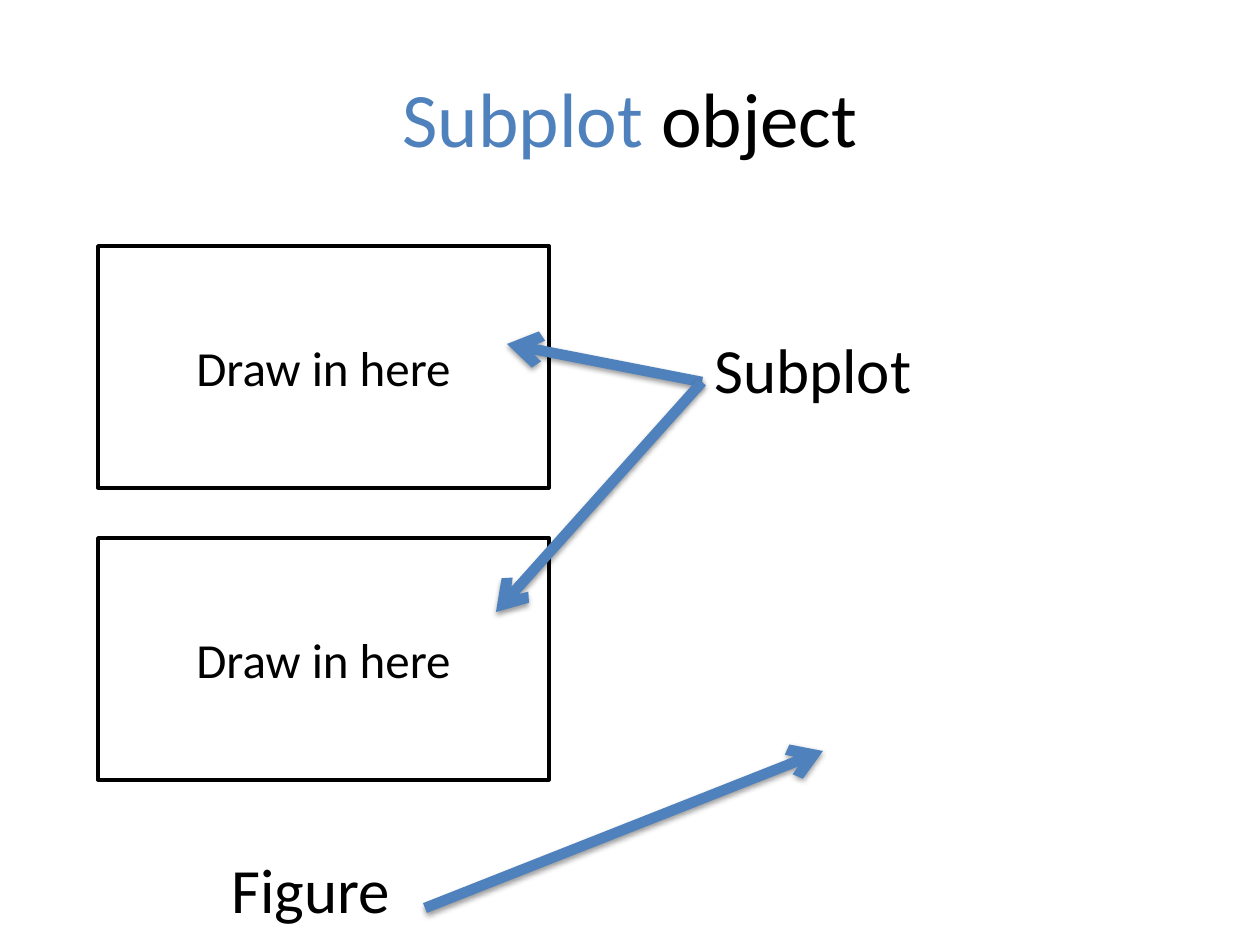
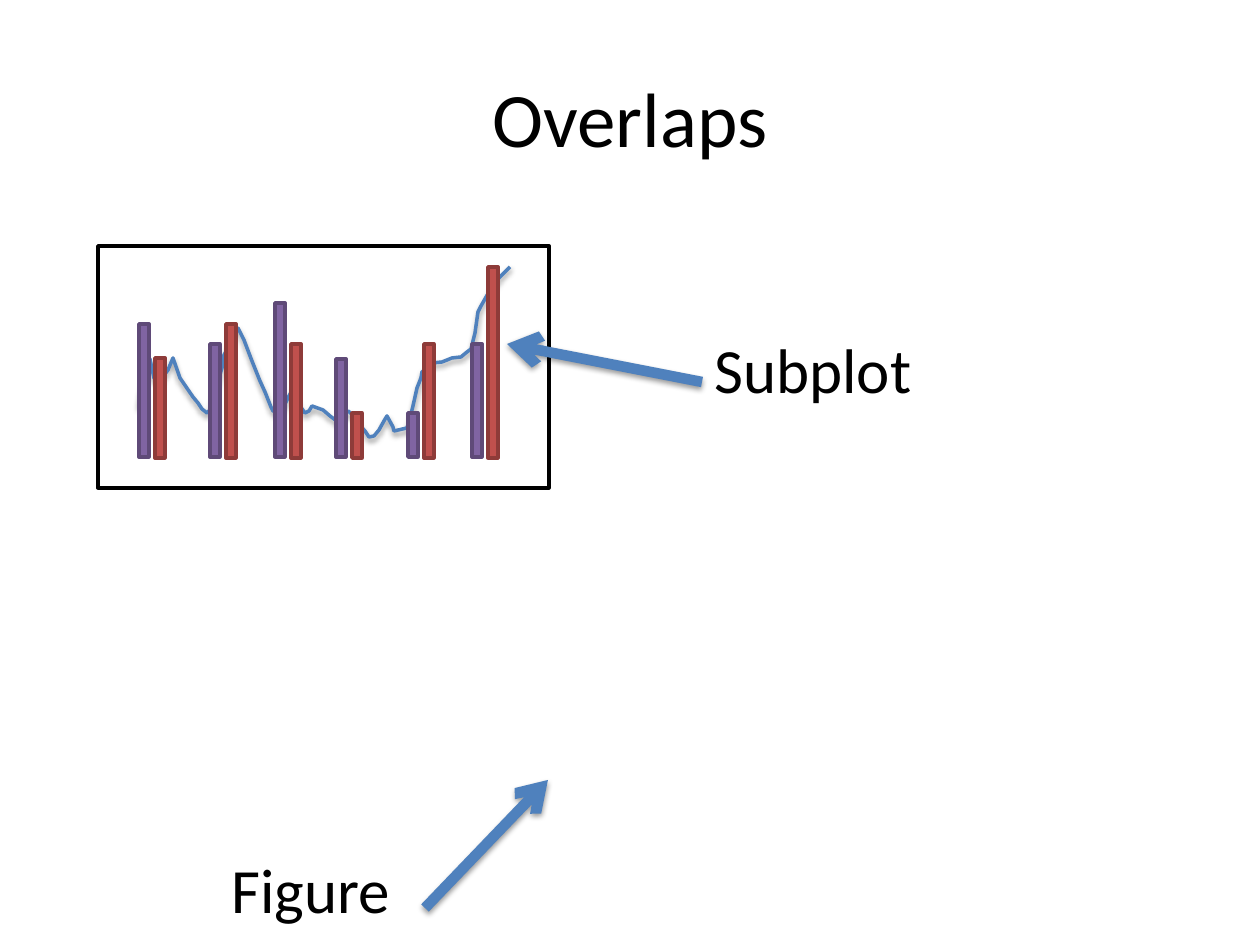
"""Build two slides that explain subplots and overlapping drawings in a figure."""
from lxml import etree
from pptx import Presentation
from pptx.dml.color import RGBColor
from pptx.enum.shapes import MSO_CONNECTOR, MSO_SHAPE
from pptx.enum.text import MSO_ANCHOR, MSO_AUTO_SIZE, PP_ALIGN
from pptx.oxml import parse_xml
from pptx.oxml.ns import nsdecls, qn
from pptx.util import Pt

SCALE = 914400 / 126
RECTANGLE = MSO_SHAPE.RECTANGLE
STRAIGHT = MSO_CONNECTOR.STRAIGHT
MIDDLE = MSO_ANCHOR.MIDDLE
CENTER = PP_ALIGN.CENTER
FIT_SHAPE = MSO_AUTO_SIZE.SHAPE_TO_FIT_TEXT
TITLE_ONLY = 5

FONT = "Calibri"
BLACK = RGBColor(0x00, 0x00, 0x00)
WHITE = RGBColor(0xFF, 0xFF, 0xFF)
BLUE = RGBColor(0x4F, 0x81, 0xBD)
PURPLE = RGBColor(0x80, 0x64, 0xA2)
DARK_PURPLE = RGBColor(0x5F, 0x4A, 0x78)
RED = RGBColor(0xC0, 0x50, 0x4D)
DARK_RED = RGBColor(0x8E, 0x3B, 0x39)

SHADOW = (
    f'<a:effectLst {nsdecls("a")}>'
    '<a:outerShdw blurRad="40000" dist="20000" dir="5400000" rotWithShape="0">'
    '<a:srgbClr val="000000"><a:alpha val="38000"/></a:srgbClr>'
    '</a:outerShdw></a:effectLst>'
)

BOX_LEFT, BOX_WIDTH, BOX_HEIGHT = 98, 451, 242
UPPER_BOX_TOP, LOWER_BOX_TOP = 246, 538
SUBPLOT_ANCHOR = (702, 382)
FIGURE_ANCHOR = (425, 908)

BAR_WIDTH = 10
PAIR_OFFSET = 16
BAR_LEFTS = (139, 210, 275, 336, 408, 472)
PURPLE_TOPS = (324, 344, 303, 359, 413, 344)
RED_TOPS = (358, 324, 344, 413, 344, 267)
PURPLE_BASE, RED_BASE = 457, 458

CURVE_POINTS = (
    (139, 407), (141, 393), (144, 381), (147, 365), (150, 359), (154, 378),
    (160, 382), (165, 374), (168, 370), (173, 358), (180, 378), (193, 397),
    (198, 403), (202, 409), (207, 413), (210, 410), (212, 402), (217, 384),
    (222, 368), (224, 355), (231, 343), (234, 329), (238, 328), (244, 340),
    (252, 361), (260, 381), (265, 392), (271, 407), (273, 411), (277, 412),
    (284, 406), (289, 396), (294, 387), (295, 394), (300, 406), (305, 413),
    (309, 411), (312, 406), (323, 410), (330, 416), (338, 422), (340, 417),
    (348, 411), (354, 416), (358, 423), (365, 431), (369, 437), (374, 436),
    (379, 430), (384, 421), (387, 416), (393, 427), (394, 431), (407, 428),
    (410, 418), (413, 406), (417, 388), (421, 378), (422, 372), (428, 367),
    (432, 363), (442, 362), (452, 358), (461, 357), (467, 352), (471, 349),
    (475, 333), (478, 312), (481, 306), (489, 292), (495, 284), (499, 278),
    (510, 267),
)


def emu(*pixels):
    """Turn pixel lengths into EMU."""
    return [round(pixel * SCALE) for pixel in pixels]


def format_run(run, size, color=BLACK):
    """Set the font, size and colour of a run."""
    run.font.name = FONT
    run.font.size = Pt(size)
    run.font.color.rgb = color


def add_titled_slide(presentation, parts):
    """Add a slide whose title consists of (text, colour) parts."""
    slide = presentation.slides.add_slide(presentation.slide_layouts[TITLE_ONLY])
    title = slide.shapes.title
    title.left, title.top, title.width, title.height = emu(63, 38, 1134, 157)
    title.text_frame.vertical_anchor = MIDDLE
    paragraph = title.text_frame.paragraphs[0]
    paragraph.alignment = CENTER
    for text, color in parts:
        run = paragraph.add_run()
        run.text = text
        format_run(run, 44, color)
    return slide


def add_label(slide, text, left, top, width):
    """Add a large one-line label."""
    label = slide.shapes.add_textbox(*emu(left, top, width, 89))
    frame = label.text_frame
    frame.word_wrap = False
    frame.auto_size = FIT_SHAPE
    frame.text = text
    format_run(frame.paragraphs[0].runs[0], 36)


def add_rectangle(slide, left, top, width, height, fill, outline):
    """Add a filled and outlined rectangle without shadow."""
    shape = slide.shapes.add_shape(RECTANGLE, *emu(left, top, width, height))
    shape.shadow.inherit = False
    shape.fill.solid()
    shape.fill.fore_color.rgb = fill
    shape.line.color.rgb = outline
    shape.line.width = Pt(2)
    return shape


def add_subplot_box(slide, top, text=None):
    """Add a subplot frame, with centred text if given."""
    box = add_rectangle(slide, BOX_LEFT, top, BOX_WIDTH, BOX_HEIGHT, WHITE, BLACK)
    if text:
        frame = box.text_frame
        frame.text = text
        frame.vertical_anchor = MIDDLE
        frame.paragraphs[0].alignment = CENTER
        format_run(frame.paragraphs[0].runs[0], 28)


def style_blue_line(shape, width):
    """Give a line or outline the shared blue colour and soft shadow."""
    shape.line.color.rgb = BLUE
    shape.line.width = Pt(width)
    shape._element.spPr.append(parse_xml(SHADOW))


def add_arrow(slide, start, end):
    """Add a thick blue arrow."""
    arrow = slide.shapes.add_connector(STRAIGHT, *emu(*start, *end))
    style_blue_line(arrow, 6)
    line = arrow._element.spPr.find(qn("a:ln"))
    etree.SubElement(line, qn("a:tailEnd"), type="arrow")


def add_curve(slide):
    """Add the blue curve of the subplot."""
    builder = slide.shapes.build_freeform(*CURVE_POINTS[0], scale=SCALE)
    builder.add_line_segments(CURVE_POINTS[1:], close=False)
    curve = builder.convert_to_shape()
    curve.fill.background()
    style_blue_line(curve, 2)


def add_bars(slide, offset, tops, base, fill, outline):
    """Add one series of bars that stand on a shared base."""
    for left, top in zip(BAR_LEFTS, tops):
        add_rectangle(slide, left + offset, top, BAR_WIDTH, base - top, fill, outline)


def add_figure_parts(slide, figure_target, box_text=None):
    """Add the labels, arrows and upper subplot that both slides share."""
    add_label(slide, "Figure", 219, 844, 187)
    add_arrow(slide, FIGURE_ANCHOR, figure_target)
    add_subplot_box(slide, UPPER_BOX_TOP, box_text)
    add_label(slide, "Subplot", 702, 324, 224)
    add_arrow(slide, SUBPLOT_ANCHOR, (507, 344))


def add_subplot_slide(presentation):
    """Build the slide that names the subplots of a figure."""
    slide = add_titled_slide(presentation, [("Subplot", BLUE), (" object", BLACK)])
    add_figure_parts(slide, (823, 751), "Draw in here")
    add_subplot_box(slide, LOWER_BOX_TOP, "Draw in here")
    add_arrow(slide, SUBPLOT_ANCHOR, (496, 612))


def add_overlaps_slide(presentation):
    """Build the slide with bars drawn over a curve."""
    slide = add_titled_slide(presentation, [("Overlaps", BLACK)])
    add_figure_parts(slide, (548, 780))
    add_curve(slide)
    add_bars(slide, 0, PURPLE_TOPS, PURPLE_BASE, PURPLE, DARK_PURPLE)
    add_bars(slide, PAIR_OFFSET, RED_TOPS, RED_BASE, RED, DARK_RED)


def main():
    """Build and save the presentation."""
    presentation = Presentation()
    presentation.slide_width, presentation.slide_height = emu(1260, 945)
    add_subplot_slide(presentation)
    add_overlaps_slide(presentation)
    presentation.save("out.pptx")


main()
